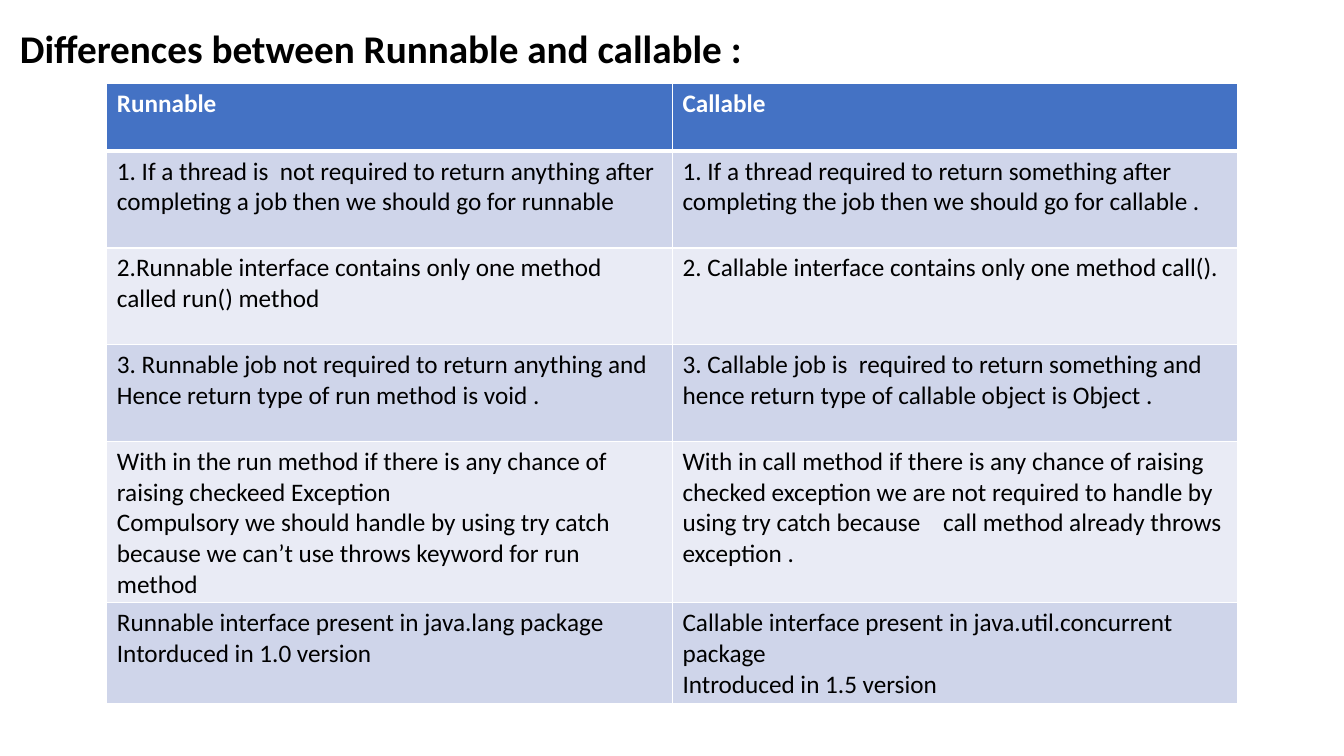
from typing import NamedTuple

from lxml.etree import SubElement
from pptx import Presentation
from pptx.dml.color import RGBColor
from pptx.oxml.ns import qn
from pptx.table import _Cell
from pptx.text.text import TextFrame
from pptx.util import Inches, Pt


class TextStyle(NamedTuple):
    size: int
    color: str
    bold: bool = False


class Difference(NamedTuple):
    runnable: list[str]
    callable: list[str]


TITLE = TextStyle(28, "000000", True)
HEADER = TextStyle(18, "FFFFFF", True)
BODY = TextStyle(18, "000000")
HEADER_FILL = "4472C4"
BAND_FILLS = ("E9EBF5", "CFD5EA")
BORDER_COLOR = "FFFFFF"
HEADER_HEIGHT = Inches(0.67)
ROW_HEIGHT = Inches(0.96)

DIFFERENCES = [
    Difference(["Runnable"], ["Callable"]),
    Difference(
        ["1. If a thread is  not required to return anything after completing "
         "a job then we should go for runnable "],
        ["1. If a thread required to return something after completing the job "
         "then we should go for callable ."],
    ),
    Difference(
        ["2.Runnable interface contains only one method called run() method "],
        ["2. Callable interface contains only one method call()."],
    ),
    Difference(
        ["3. Runnable job not required to return anything and Hence return type "
         "of run method is void ."],
        ["3. Callable job is  required to return something and hence return type "
         "of callable object is Object . "],
    ),
    Difference(
        ["With in the run method if there is any chance of raising checkeed Exception ",
         "Compulsory we should handle by using try catch because we can’t use "
         "throws keyword for run method "],
        ["With in call method if there is any chance of raising checked exception "
         "we are not required to handle by using try catch because    call method "
         "already throws exception ."],
    ),
    Difference(
        ["Runnable interface present in java.lang package ",
         "Intorduced in 1.0 version"],
        ["Callable interface present in java.util.concurrent package ",
         "Introduced in 1.5 version "],
    ),
]


def rgb(color: str) -> RGBColor:
    return RGBColor.from_string(color)


def write_text(frame: TextFrame, lines: list[str], style: TextStyle) -> None:
    frame.word_wrap = True
    for index, line in enumerate(lines):
        paragraph = frame.add_paragraph() if index else frame.paragraphs[0]
        run = paragraph.add_run()
        run.text = line
        run.font.name = "Calibri"
        run.font.size = Pt(style.size)
        run.font.bold = style.bold
        run.font.color.rgb = rgb(style.color)


def set_borders(cell: _Cell, top: int, bottom: int) -> None:
    properties = cell._tc.get_or_add_tcPr()
    for side, width in (("L", 1), ("R", 1), ("T", top), ("B", bottom)):
        line = SubElement(properties, qn(f"a:ln{side}"), w=str(Pt(width)))
        fill = SubElement(line, qn("a:solidFill"))
        SubElement(fill, qn("a:srgbClr"), val=BORDER_COLOR)


presentation = Presentation()
presentation.slide_width = Inches(13.33)
presentation.slide_height = Inches(7.5)
slide = presentation.slides.add_slide(presentation.slide_layouts[6])

title = slide.shapes.add_textbox(Inches(0.1), Inches(0.19), Inches(13.14), Inches(0.88))
write_text(title.text_frame, ["Differences between Runnable and callable : "], TITLE)

table = slide.shapes.add_table(
    len(DIFFERENCES), 2, Inches(1.06), Inches(0.83), Inches(11.22),
    HEADER_HEIGHT + ROW_HEIGHT * (len(DIFFERENCES) - 1),
).table
for row_index, difference in enumerate(DIFFERENCES):
    is_header = row_index == 0
    table.rows[row_index].height = HEADER_HEIGHT if is_header else ROW_HEIGHT
    for column_index, lines in enumerate(difference):
        cell = table.cell(row_index, column_index)
        set_borders(cell, top=3 if row_index == 1 else 1, bottom=3 if is_header else 1)
        cell.fill.solid()
        cell.fill.fore_color.rgb = rgb(HEADER_FILL if is_header else BAND_FILLS[row_index % 2])
        write_text(cell.text_frame, lines, HEADER if is_header else BODY)

presentation.save("out.pptx")
